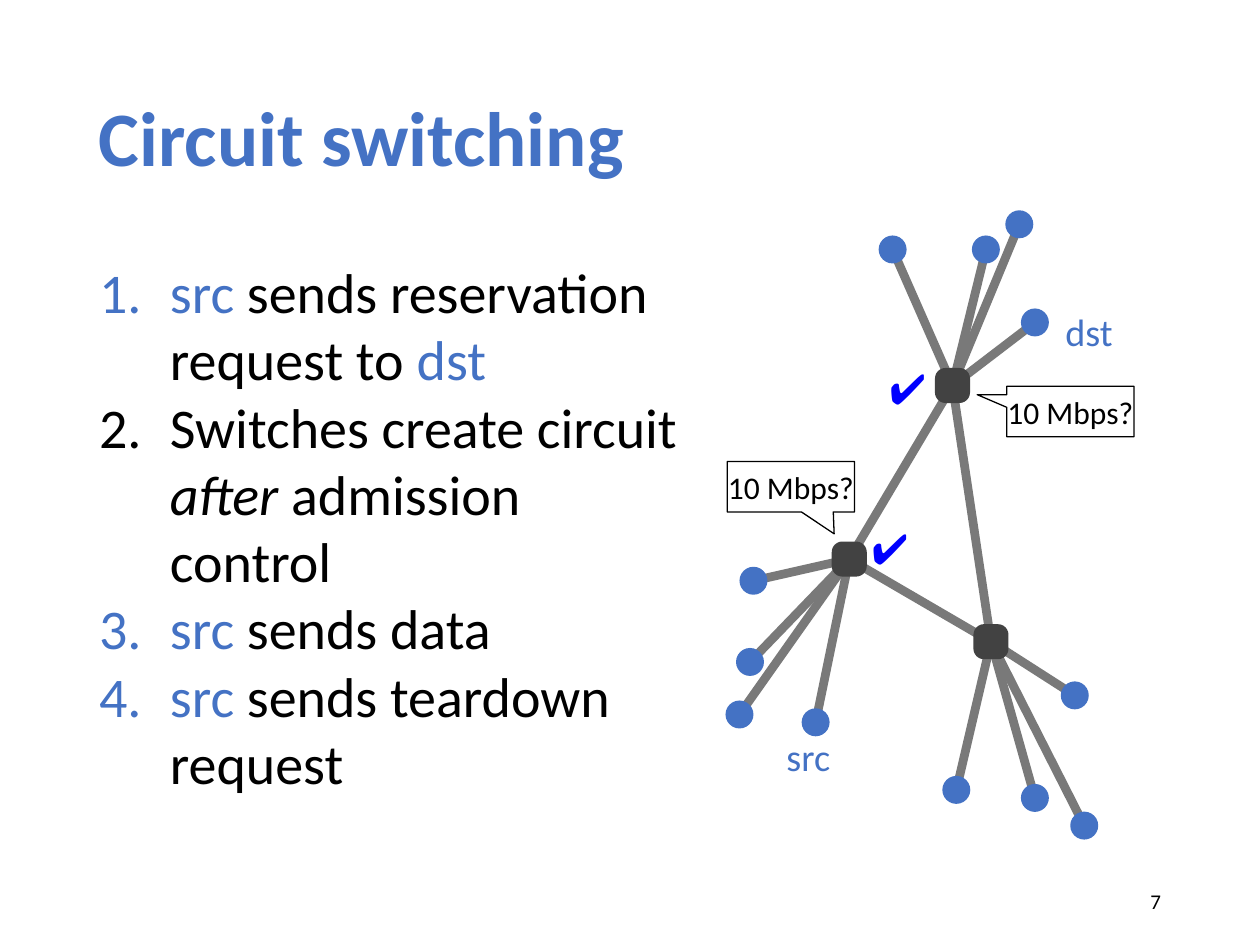
import pptx
import pptx.util
import pptx.dml.color
import pptx.enum.shapes
import pptx.enum.text
import pptx.oxml.ns
from lxml import etree

Pt = pptx.util.Pt
Shape = pptx.enum.shapes.MSO_SHAPE
Align = pptx.enum.text.PP_ALIGN
Anchor = pptx.enum.text.MSO_ANCHOR
Fit = pptx.enum.text.MSO_AUTO_SIZE
qn = pptx.oxml.ns.qn

COLORS = {"accent": "4472C4", "text": "000000", "link": "797979",
          "switch": "424242", "check": "0000FF"}

STEPS = [
    [("src ", "accent"), ("sends reservation request to ", "text"), ("dst", "accent")],
    [("Switches create circuit ", "text"), ("after", "text", {"italic": True}),
     (" admission control", "text")],
    [("src ", "accent"), ("sends data", "text")],
    [("src ", "accent"), ("sends teardown request", "text")],
]

NETWORK = {
    (71.3, 199.5): [(16.6, 211.9), (14.6, 258.3), (8.6, 288.3), (52.1, 292.8)],
    (130.3, 100.3): [(96.1, 22.6), (149.4, 22.6), (168.5, 8.2), (177.4, 64.3)],
    (152.3, 246.7): [(132.5, 331.4), (177.4, 336), (205.6, 351.8), (200.2, 277.4)],
}
LABELS = [("dst", 191.8, 53.5), ("src", 32.4, 296.2)]
CALLOUTS = [(1.6, 143.8, (0.34, 0.934)), (161.3, 100.8, (-0.732, -0.334))]
CHECKS = [(77, 175.2), (87.1, 83.8)]


def color(name):
    return pptx.dml.color.RGBColor.from_string(COLORS[name])


def apply(target, values):
    for name, value in values.items():
        setattr(target, name, value)


def add_span(para, text, tint, size, **extra):
    span = para.add_run()
    span.text = text
    apply(span.font, {"name": "Calibri", "size": Pt(size), **extra})
    span.font.color.rgb = color(tint)


def add_text_box(page, box, **frame_format):
    frame = page.shapes.add_textbox(*map(Pt, box)).text_frame
    apply(frame, {"word_wrap": True, **frame_format})
    return frame


def add_node(page, kind, center, size, tint):
    x, y = center
    node = page.shapes.add_shape(kind, Pt(x - size / 2), Pt(y - size / 2), Pt(size), Pt(size))
    node.shadow.inherit = False
    node.fill.solid()
    node.fill.fore_color.rgb = color(tint)
    node.line.fill.background()
    return node


def add_link(page, start, end):
    link = page.shapes.add_connector(
        pptx.enum.shapes.MSO_CONNECTOR.STRAIGHT, *map(Pt, (*start, *end)))
    link.line.width = Pt(5)
    link.line.color.rgb = color("link")
    etree.SubElement(link._element.spPr, qn("a:effectLst"))


def add_callout(page, box, tip):
    callout = page.shapes.add_shape(Shape.RECTANGULAR_CALLOUT, *map(Pt, box))
    callout.shadow.inherit = False
    callout.adjustments[0], callout.adjustments[1] = tip
    callout.fill.background()
    callout.line.color.rgb = color("text")
    callout.line.width = Pt(0.75)
    frame = callout.text_frame
    apply(frame, {"word_wrap": False, "vertical_anchor": Anchor.MIDDLE})
    para = frame.paragraphs[0]
    para.alignment = Align.CENTER
    add_span(para, "10 Mbps?", "text", 18)


def add_title(page, box):
    para = add_text_box(page, box, vertical_anchor=Anchor.MIDDLE).paragraphs[0]
    para.line_spacing = 0.9
    add_span(para, "Circuit switching", "accent", 44, bold=True)


def add_steps(page, box):
    frame = add_text_box(page, box)
    for index, step in enumerate(STEPS):
        para = frame.add_paragraph() if index else frame.paragraphs[0]
        properties = para._p.get_or_add_pPr()
        properties.set("marL", str(Pt(40.5)))
        properties.set("indent", str(Pt(-40.5)))
        etree.SubElement(properties, qn("a:buFont"), typeface="+mj-lt")
        etree.SubElement(properties, qn("a:buAutoNum"), type="arabicPeriod")
        for text, tint, *extra in step:
            add_span(para, text, tint, 32, **(extra[0] if extra else {}))


def add_network(page, box):
    left, top = box[:2]

    def place(point):
        return left + point[0], top + point[1]

    switches = [place(switch) for switch in NETWORK]
    for index, switch in enumerate(switches):
        add_link(page, switch, switches[index - 1])
    for switch, hosts in NETWORK.items():
        for host in hosts:
            add_link(page, place(host), place(switch))
            add_node(page, Shape.OVAL, place(host), 16, "accent")
    for switch in switches:
        node = add_node(page, Shape.ROUNDED_RECTANGLE, switch, 20, "switch")
        node.adjustments[0] = 0.3

    margins = dict.fromkeys(
        ("margin_left", "margin_right", "margin_top", "margin_bottom"), Pt(3))
    for text, x, y in LABELS:
        frame = add_text_box(page, (*place((x, y)), 40, 32),
                             vertical_anchor=Anchor.MIDDLE, **margins)
        add_span(frame.paragraphs[0], text, "accent", 21.8)
    for x, y, tip in CALLOUTS:
        add_callout(page, (*place((x, y)), 72.7, 28.8), tip)
    for point in CHECKS:
        frame = add_text_box(page, (*place(point), 38.9, 36), word_wrap=False,
                             auto_size=Fit.SHAPE_TO_FIT_TEXT)
        add_span(frame.paragraphs[0], "✔️", "check", 24)


def add_page_number(page, box):
    para = add_text_box(page, box, vertical_anchor=Anchor.MIDDLE).paragraphs[0]
    para.alignment = Align.RIGHT
    add_span(para, "7", "text", 12)


def main():
    deck = pptx.Presentation()
    apply(deck, {"slide_width": Pt(720), "slide_height": Pt(540)})
    page = deck.slides.add_slide(deck.slide_layouts[6])
    add_title(page, (49.5, 28.8, 621, 104.4))
    add_steps(page, (49.5, 143.75, 353, 342.6))
    add_network(page, (414, 120, 235, 361))
    add_page_number(page, (508.5, 500.5, 162, 28.8))
    deck.save("out.pptx")


if __name__ == "__main__":
    main()
